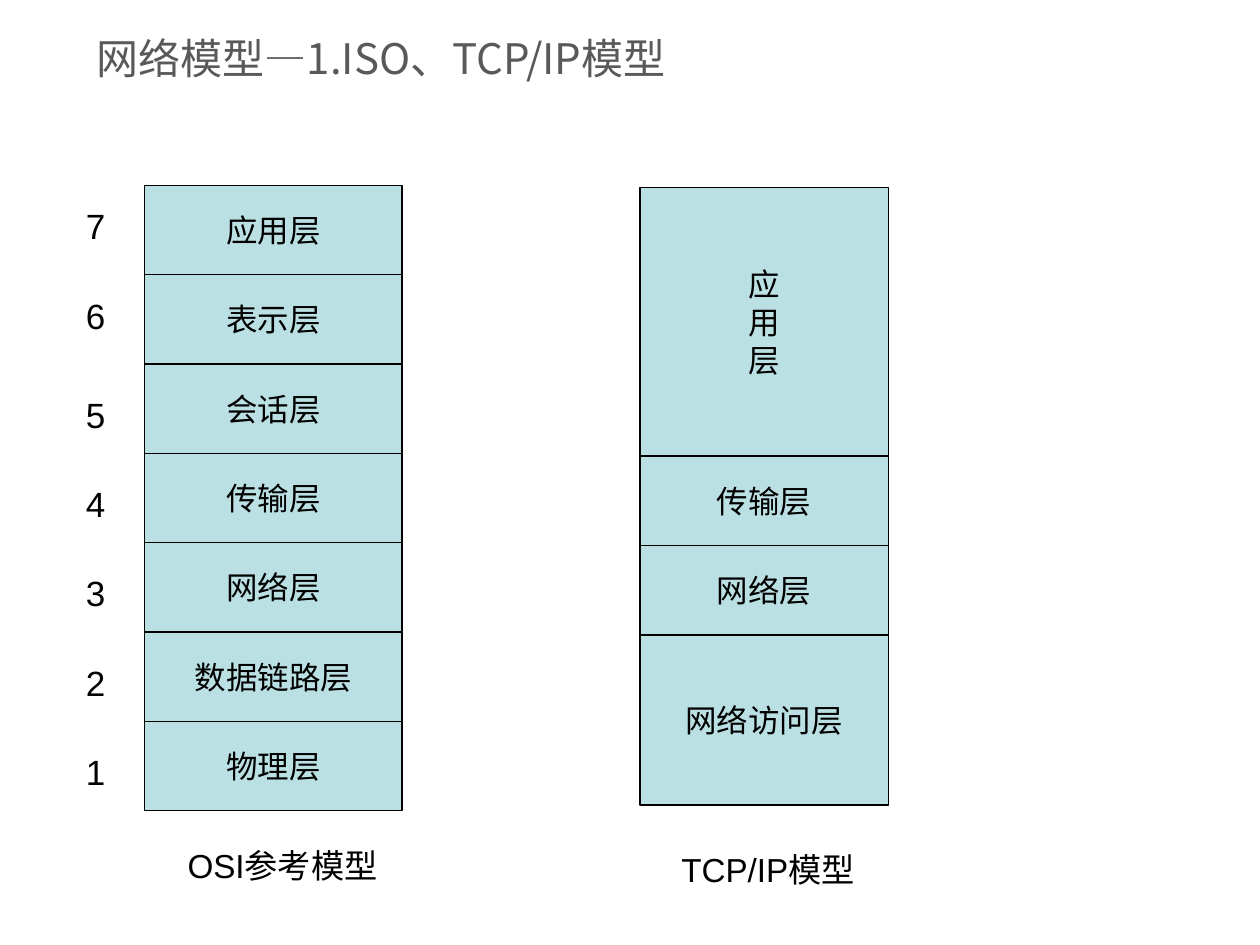
import dataclasses

import pptx
import pptx.dml.color
import pptx.enum.shapes
import pptx.enum.text
import pptx.util

Inches = pptx.util.Inches
Align = pptx.enum.text.PP_ALIGN
Anchor = pptx.enum.text.MSO_ANCHOR


@dataclasses.dataclass(frozen=True)
class Theme:
    layer_fill: str = "BBE0E3"
    ink: str = "000000"
    heading_ink: str = "595959"
    font: str = "Arial"
    heading_font: str = "Noto Sans CJK SC"
    alternate_font: str = "Times New Roman"
    heading_size: int = 24
    number_size: int = 20
    caption_size: int = 19
    layer_size: int = 18
    border: float = 0.75


theme = Theme()
rgb = pptx.dml.color.RGBColor.from_string


def write(frame, text, size, align=Align.LEFT, font=theme.font, ink=theme.ink):
    frame.text = text
    for paragraph in frame.paragraphs:
        paragraph.alignment = align
        paragraph.font.size = pptx.util.Pt(size)
        paragraph.font.name = font
        paragraph.font.color.rgb = rgb(ink)


def add_layer(left, top, width, height, text):
    layer = slide.shapes.add_shape(
        pptx.enum.shapes.MSO_SHAPE.RECTANGLE,
        Inches(left), Inches(top), Inches(width), Inches(height))
    layer.shadow.inherit = False
    layer.fill.solid()
    layer.fill.fore_color.rgb = rgb(theme.layer_fill)
    layer.line.color.rgb = rgb(theme.ink)
    layer.line.width = pptx.util.Pt(theme.border)
    layer.text_frame.word_wrap = False
    layer.text_frame.vertical_anchor = Anchor.MIDDLE
    write(layer.text_frame, text, theme.layer_size, Align.CENTER)
    return layer


deck = pptx.Presentation()
deck.slide_width = Inches(10)
deck.slide_height = Inches(7.5)
slide = deck.slides.add_slide(deck.slide_layouts[6])

heading = slide.shapes.add_textbox(Inches(0.67), Inches(0.17), Inches(8.67), Inches(0.58))
heading.text_frame.word_wrap = True
heading.text_frame.vertical_anchor = Anchor.MIDDLE
write(heading.text_frame, "网络模型—1.ISO、TCP/IP模型", theme.heading_size,
      font=theme.heading_font, ink=theme.heading_ink)

layer_height = 0.709
osi_layers = ["应用层", "表示层", "会话层", "传输层", "网络层", "数据链路层", "物理层"]
for row, layer_name in enumerate(osi_layers):
    add_layer(1.15, 1.47 + row * layer_height, 2.04, layer_height, layer_name)

number_tops = [1.57, 2.29, 3.07, 3.78, 4.49, 5.2, 5.91]
for row, number_top in enumerate(number_tops):
    number = slide.shapes.add_textbox(
        Inches(0.58), Inches(number_top), Inches(0.36), Inches(0.44))
    number.text_frame.word_wrap = False
    write(number.text_frame, str(len(number_tops) - row), theme.number_size, Align.CENTER)

tcp_layers = [("应\n用\n层", 2.13), ("传输", 0.71), ("网络层", 0.71), ("网络访问层", 1.35)]
tcp_top = 1.49
for layer_name, height in tcp_layers:
    tcp_layer = add_layer(5.08, tcp_top, 1.97, height, layer_name)
    if layer_name == "传输":
        suffix = tcp_layer.text_frame.paragraphs[0].add_run()
        suffix.text = "层"
        suffix.font.name = theme.alternate_font
    tcp_top += height

for caption_text, left, top, width in [
        ("OSI参考模型", 1.39, 6.66, 2.12), ("TCP/IP模型", 5.31, 6.69, 1.85)]:
    caption = slide.shapes.add_textbox(
        Inches(left), Inches(top), Inches(width), Inches(0.44))
    caption.text_frame.word_wrap = True
    write(caption.text_frame, caption_text, theme.caption_size)

deck.save("out.pptx")
